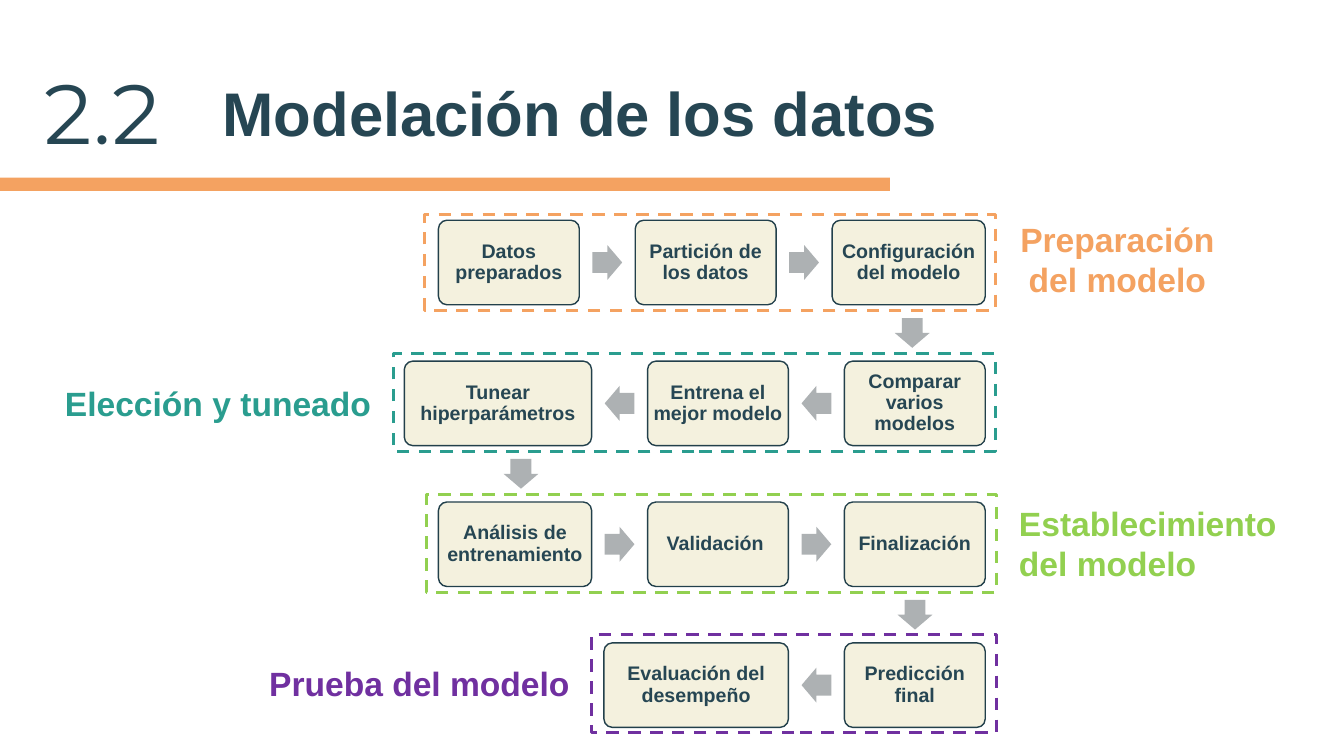
import pptx
import pptx.dml.color
import pptx.enum.dml
import pptx.enum.shapes
import pptx.enum.text
import pptx.util

Cm = pptx.util.Cm
Pt = pptx.util.Pt
RGBColor = pptx.dml.color.RGBColor
PRESET = pptx.enum.shapes.MSO_SHAPE
ALIGN = pptx.enum.text.PP_ALIGN
ANCHOR = pptx.enum.text.MSO_ANCHOR

NAVY = RGBColor(0x26, 0x46, 0x53)
BOX_LINE = RGBColor(0x22, 0x40, 0x4B)
CREAM = RGBColor(0xF4, 0xF1, 0xDE)
GREY = RGBColor(0xAD, 0xB1, 0xB3)
ORANGE = RGBColor(0xF4, 0xA2, 0x61)
TEAL = RGBColor(0x2A, 0x9D, 0x8F)
GREEN = RGBColor(0x92, 0xD0, 0x50)
PURPLE = RGBColor(0x70, 0x30, 0xA0)

# Flow grid, in centimetres: rows share their right edge
FLOW_TOP, FLOW_RIGHT = 5.55, 24.83
STEP_HEIGHT, ROW_PITCH, STEP_GAP = 2.13, 3.55, 1.41
ARROW_LENGTH, ARROW_BREADTH = 0.75, 0.88

# Each phase: steps from left to right with widths, arrow direction, frame
PHASES = [
    dict(steps=[("Datos preparados", 3.55), ("Partición de los datos", 3.55),
                ("Configuración del modelo", 3.86)],
         arrow=PRESET.RIGHT_ARROW, color=ORANGE, frame=(10.7, 5.41, 14.38, 2.41)),
    dict(steps=[("Tunear hiperparámetros", 4.72), ("Entrena el mejor modelo", 3.55),
                ("Comparar varios modelos", 3.55)],
         arrow=PRESET.LEFT_ARROW, color=TEAL, frame=(9.91, 8.91, 15.18, 2.46)),
    dict(steps=[("Análisis de entrenamiento", 3.86), ("Validación ", 3.55),
                ("Finalización", 3.55)],
         arrow=PRESET.RIGHT_ARROW, color=GREEN, frame=(10.74, 12.47, 14.38, 2.46)),
    dict(steps=[("Evaluación del desempeño", 4.65), ("Predicción final", 3.55)],
         arrow=PRESET.LEFT_ARROW, color=PURPLE, frame=(14.91, 16.0, 10.21, 2.46)),
]
DESCENT_CENTERS = [22.99, 13.13, 23.06]


def write(frame, text, *, size, color, font="Arial", bold=True, align=ALIGN.LEFT,
          anchor=ANCHOR.TOP, spacing=1.0, before=0, wrap=True):
    frame.auto_size = pptx.enum.text.MSO_AUTO_SIZE.NONE
    frame.word_wrap = wrap
    frame.vertical_anchor = anchor
    frame.text = text
    for paragraph in frame.paragraphs:
        paragraph.alignment = align
        paragraph.line_spacing = spacing
        paragraph.space_before = Pt(before)
        paragraph.font.name = font
        paragraph.font.size = Pt(size)
        paragraph.font.bold = bold
        paragraph.font.color.rgb = color


def add_label(slide, text, left, top, width, height, **text_format):
    label = slide.shapes.add_textbox(Cm(left), Cm(top), Cm(width), Cm(height))
    write(label.text_frame, text, **text_format)


def add_preset(slide, preset, left, top, width, height, fill=None, line=None, weight=1):
    figure = slide.shapes.add_shape(preset, Cm(left), Cm(top), Cm(width), Cm(height))
    figure.shadow.inherit = False
    if fill is None:
        figure.fill.background()
    else:
        figure.fill.solid()
        figure.fill.fore_color.rgb = fill
    if line is None:
        figure.line.fill.background()
    else:
        figure.line.color.rgb = line
        figure.line.width = Pt(weight)
    return figure


def add_step(slide, text, left, top, width):
    step = add_preset(slide, PRESET.ROUNDED_RECTANGLE, left, top, width, STEP_HEIGHT,
                      fill=CREAM, line=BOX_LINE)
    step.adjustments[0] = 0.1
    # Narrow side margins keep the longest words on one line
    inner = step.text_frame
    inner.margin_left = inner.margin_right = Cm(0.08)
    inner.margin_top = inner.margin_bottom = Cm(0.12)
    write(inner, text, size=14, color=NAVY, align=ALIGN.CENTER,
          anchor=ANCHOR.MIDDLE, spacing=0.9)


def add_arrow(slide, preset, center_x, center_y):
    width, height = ARROW_LENGTH, ARROW_BREADTH
    if preset == PRESET.DOWN_ARROW:
        width, height = height, width
    arrow = add_preset(slide, preset, center_x - width / 2, center_y - height / 2,
                       width, height, fill=GREY)
    arrow.adjustments[0] = 0.6
    arrow.adjustments[1] = 0.5


def add_phase(slide, phase, top):
    right = FLOW_RIGHT
    for index, (text, width) in enumerate(reversed(phase["steps"])):
        if index:
            add_arrow(slide, phase["arrow"], right + STEP_GAP / 2, top + STEP_HEIGHT / 2)
        add_step(slide, text, right - width, top, width)
        right -= width + STEP_GAP
    frame = add_preset(slide, PRESET.RECTANGLE, *phase["frame"],
                       line=phase["color"], weight=2.25)
    frame.line.dash_style = pptx.enum.dml.MSO_LINE.DASH


def main():
    deck = pptx.Presentation()
    deck.slide_width, deck.slide_height = Cm(33.87), Cm(19.05)
    slide = deck.slides.add_slide(deck.slide_layouts[5])

    # Heading: section number, name and rule
    number = slide.shapes.title
    number.left, number.top = Cm(0.88), Cm(1.98)
    number.width, number.height = Cm(5.38), Cm(1.96)
    write(number.text_frame, "2.2", size=60, color=NAVY, font="Montserrat",
          bold=False, anchor=ANCHOR.MIDDLE, spacing=0.9)
    add_label(slide, "Modelación de los datos", 5.36, 1.27, 18.62, 3.33, size=44,
              color=NAVY, anchor=ANCHOR.MIDDLE, spacing=0.9, before=10)
    add_preset(slide, PRESET.RECTANGLE, 0, 4.48, 22.43, 0.33, fill=ORANGE)

    # Phases and the arrows that lead down from one to the next
    for row, phase in enumerate(PHASES):
        add_phase(slide, phase, FLOW_TOP + row * ROW_PITCH)
    for row, center_x in enumerate(DESCENT_CENTERS):
        center_y = FLOW_TOP + row * ROW_PITCH + (STEP_HEIGHT + ROW_PITCH) / 2
        add_arrow(slide, PRESET.DOWN_ARROW, center_x, center_y)

    # Phase names
    add_label(slide, "Preparación\ndel modelo", 25.43, 5.38, 5.46, 2.31, size=24,
              color=ORANGE, align=ALIGN.CENTER, wrap=False)
    add_label(slide, "Elección y tuneado", 1.24, 9.53, 8.51, 1.27, size=24,
              color=TEAL, align=ALIGN.CENTER)
    add_label(slide, "Establecimiento del modelo", 25.43, 12.55, 7.16, 2.31, size=24,
              color=GREEN)
    add_label(slide, "Prueba del modelo", 6.38, 16.59, 8.38, 1.27, size=24,
              color=PURPLE, align=ALIGN.CENTER)

    deck.save("out.pptx")


if __name__ == "__main__":
    main()
